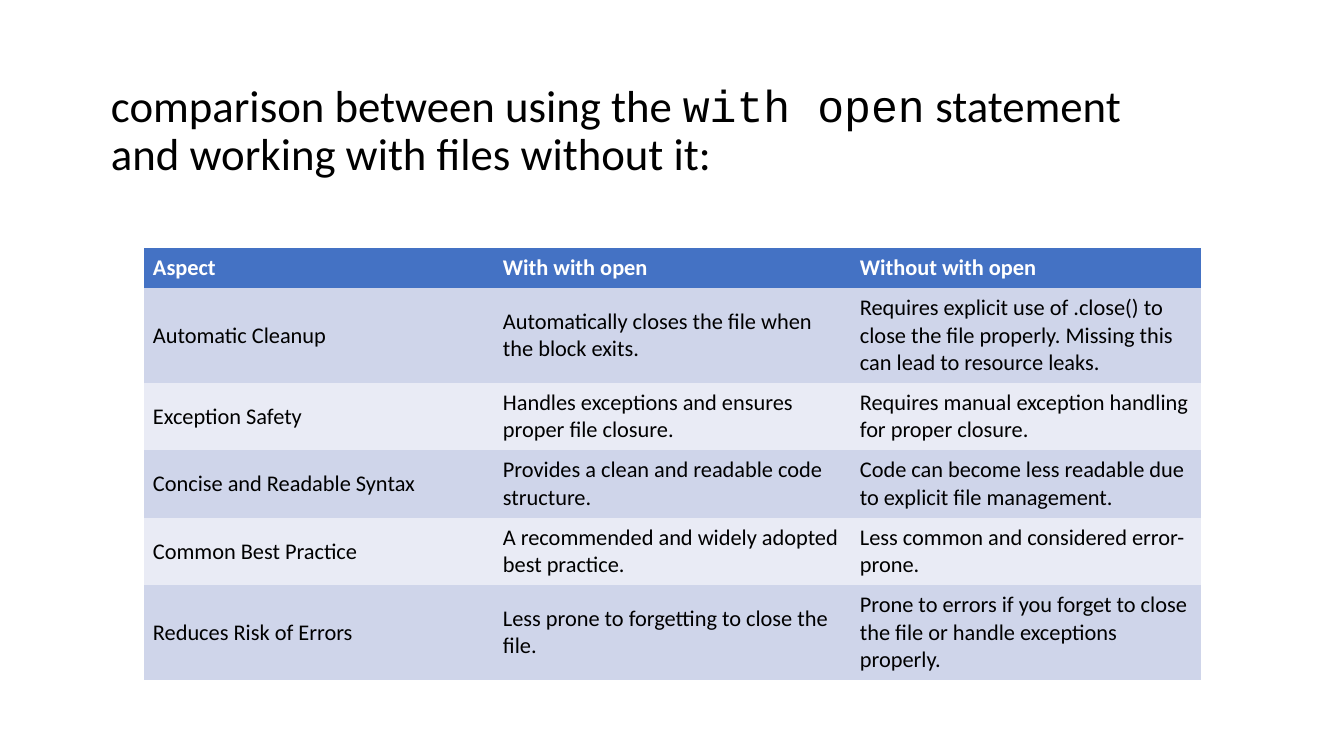
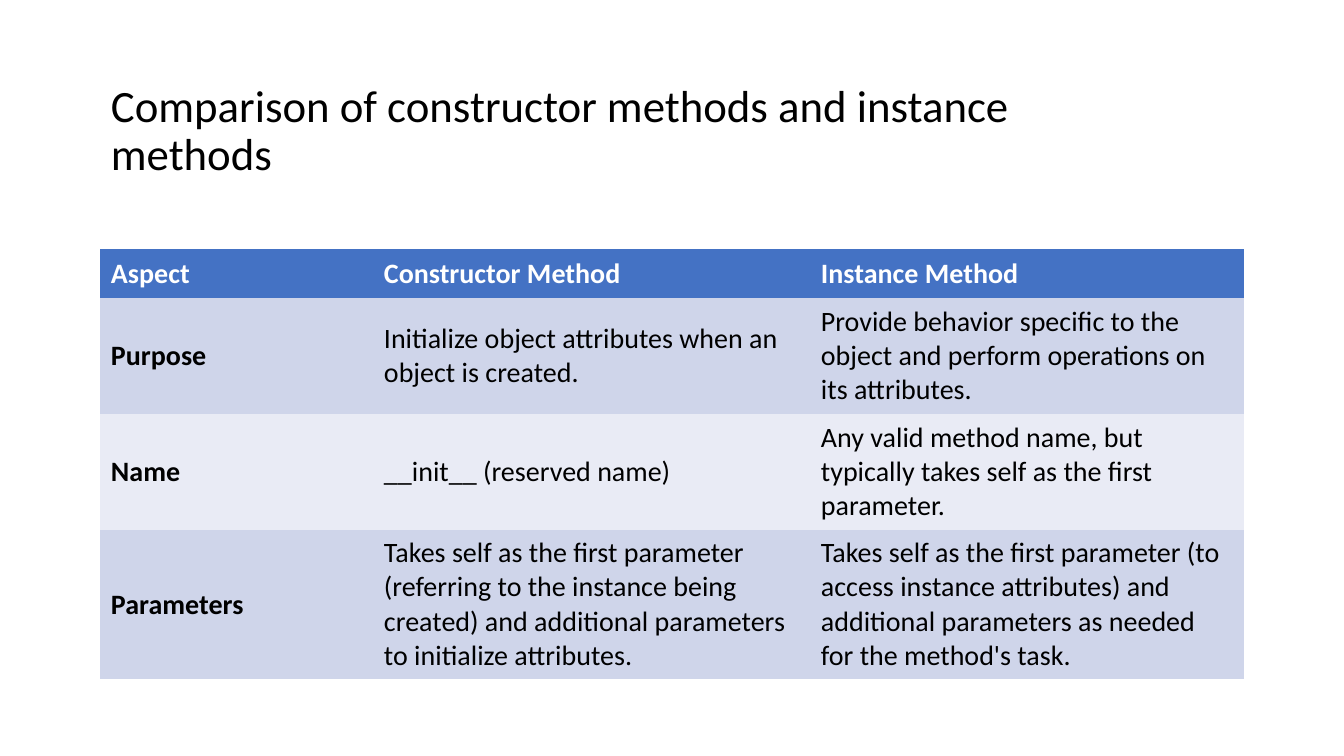
from pptx import Presentation
from pptx.dml.color import RGBColor
from pptx.enum.text import MSO_ANCHOR
from pptx.oxml.ns import qn
from pptx.util import Pt

SCALE = 914400 / 100.8  # EMU per pixel
MIDDLE = MSO_ANCHOR.MIDDLE
PLAIN_TABLE = "{2D5ABB26-0587-4C30-8999-92F81FD0307C}"  # no style, no grid
BODY_FONT, CODE_FONT = "Calibri", "Courier New"
TITLE_SIZE = 32
TITLE_BOX = (101, 74, 1037, 116)
COLORS = {
    "text": "000000",
    "header": "4472C4",
    "header_text": "FFFFFF",
    "band_dark": "CFD5EA",
    "band_light": "E9EBF5",
}


def px(length):
    return round(length * SCALE)


def color(name):
    return RGBColor.from_string(COLORS[name])


class Deck:
    """Holds the shared style and the current slide."""

    def __init__(self):
        self.prs = Presentation()
        self.prs.slide_width, self.prs.slide_height = px(1344), px(756)
        self.slide = None

    def new_slide(self):
        self.slide = self.prs.slides.add_slide(self.prs.slide_layouts[6])

    def style(self, run, size, color_name="text", bold=False, font=BODY_FONT):
        run.font.name = font
        run.font.size = Pt(size)
        run.font.bold = bold
        run.font.color.rgb = color(color_name)

    def title(self, *parts):
        """Parts alternate between body text and code."""
        frame = self.slide.shapes.add_textbox(*map(px, TITLE_BOX)).text_frame
        frame.word_wrap = True
        frame.vertical_anchor = MIDDLE
        heading = frame.paragraphs[0]
        heading.line_spacing = 0.9
        for index, part in enumerate(parts):
            run = heading.add_run()
            run.text = part
            self.style(run, TITLE_SIZE, font=CODE_FONT if index % 2 else BODY_FONT)

    def table(self, left, top, widths, heights, rows, size, margins, bold_aspects=False):
        frame = self.slide.shapes.add_table(
            len(rows), len(widths), px(left), px(top), px(sum(widths)), px(sum(heights)))
        for style_id in frame.element.iter(qn("a:tableStyleId")):
            style_id.text = PLAIN_TABLE
        grid = frame.table
        for column, width in zip(grid.columns, widths):
            column.width = px(width)
        for r, (texts, height) in enumerate(zip(rows, heights)):
            grid.rows[r].height = px(height)
            header = r == 0
            fill = "header" if header else "band_dark" if r % 2 else "band_light"
            for c, text in enumerate(texts):
                self.cell(grid.cell(r, c), text, fill, margins, size,
                          "header_text" if header else "text",
                          header or (bold_aspects and c == 0))

    def cell(self, cell, text, fill, margins, size, color_name, bold):
        cell.fill.solid()
        cell.fill.fore_color.rgb = color(fill)
        cell.vertical_anchor = MIDDLE
        side, edge = map(px, margins)
        cell.margin_left = cell.margin_right = side
        cell.margin_top = cell.margin_bottom = edge
        cell.text_frame.text = text
        self.style(cell.text_frame.paragraphs[0].runs[0], size, color_name, bold)


deck = Deck()

# Slide 1: files with and without "with open"
deck.new_slide()
deck.title("comparison between using the ", "with open",
           " statement and working with files without it:")
file_handling = [
    ("Aspect", "With with open", "Without with open"),
    ("Automatic Cleanup",
     "Automatically closes the file when the block exits.",
     "Requires explicit use of .close() to close the file properly. "
     "Missing this can lead to resource leaks."),
    ("Exception Safety",
     "Handles exceptions and ensures proper file closure.",
     "Requires manual exception handling for proper closure."),
    ("Concise and Readable Syntax",
     "Provides a clean and readable code structure.",
     "Code can become less readable due to explicit file management."),
    ("Common Best Practice",
     "A recommended and widely adopted best practice.",
     "Less common and considered error-prone."),
    ("Reduces Risk of Errors",
     "Less prone to forgetting to close the file.",
     "Prone to errors if you forget to close the file or handle exceptions properly."),
]
deck.table(144, 248, (350, 357, 350), (40, 95, 67, 68, 67, 95),
           file_handling, size=16, margins=(9, 5))

# Slide 2: constructor and instance methods
deck.new_slide()
deck.title("Comparison of constructor methods and instance methods")
method_kinds = [
    ("Aspect", "Constructor Method", "Instance Method"),
    ("Purpose",
     "Initialize object attributes when an object is created.",
     "Provide behavior specific to the object and perform operations on its attributes."),
    ("Name",
     "__init__ (reserved name)",
     "Any valid method name, but typically takes self as the first parameter."),
    ("Parameters",
     "Takes self as the first parameter (referring to the instance being created) "
     "and additional parameters to initialize attributes.",
     "Takes self as the first parameter (to access instance attributes) "
     "and additional parameters as needed for the method's task."),
]
deck.table(100, 249, (273, 437, 434), (49, 116, 116, 149),
           method_kinds, size=20, margins=(11, 6), bold_aspects=True)

deck.prs.save("out.pptx")
